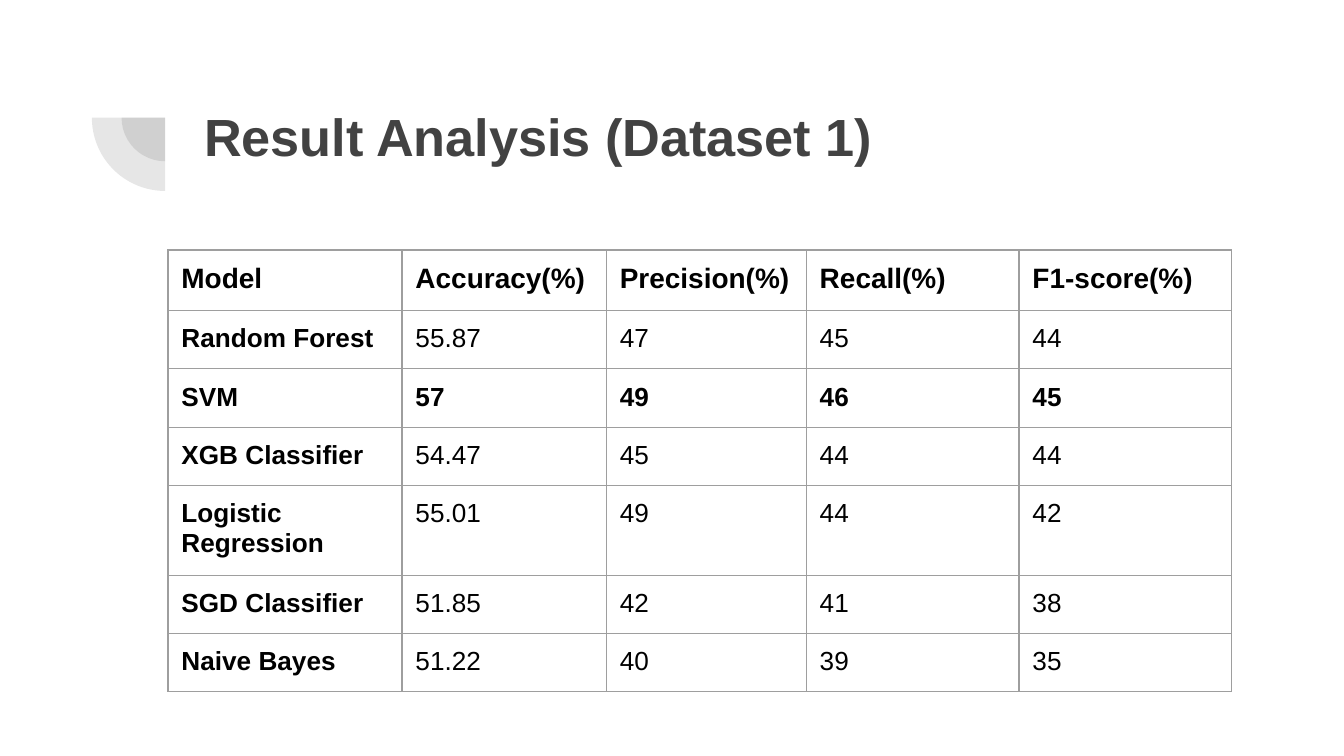
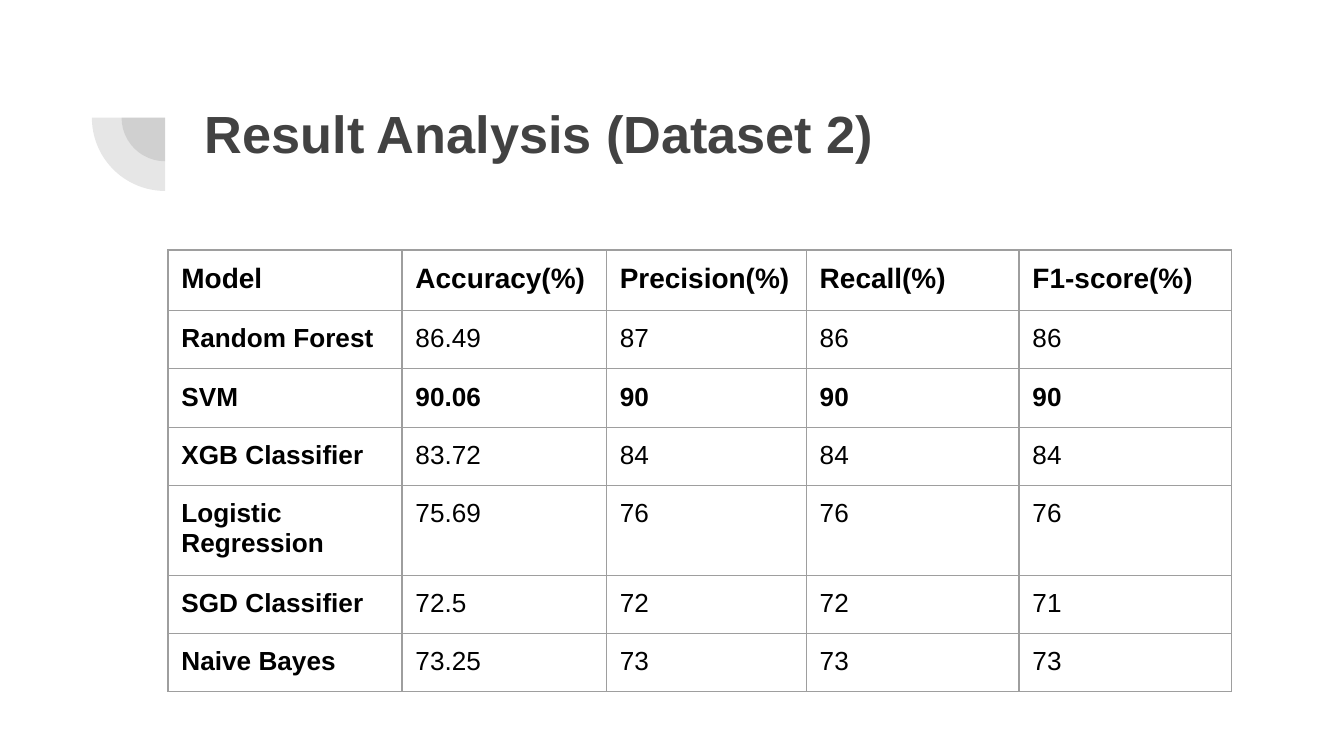
from lxml import etree
from pptx import Presentation
from pptx.dml.color import RGBColor
from pptx.enum.shapes import MSO_SHAPE
from pptx.enum.text import MSO_ANCHOR
from pptx.oxml.ns import qn
from pptx.util import Pt

PX = 1905  # 480 px to the inch
FONT = "Arial"
DARK = RGBColor(0x42, 0x42, 0x42)
BLACK = RGBColor(0x00, 0x00, 0x00)
GRAY = RGBColor(0x9E, 0x9E, 0x9E)
WHITE = RGBColor(0xFF, 0xFF, 0xFF)
PIE = MSO_SHAPE.PIE
TOP = MSO_ANCHOR.TOP

HUB = (590, 420)  # shared centre of both quarter discs
DISCS = [312, 524]
ALPHA = 13
INSET = 48
LEFT, HEAD, ROW, SIDE = 600, 893, 200, 1575
COLS = [836, 730, 714, 760, 760]
BEST = "SVM"

HEADER = ["Model", "Accuracy(%)", "Precision(%)", "Recall(%)", "F1-score(%)"]
SLIDES = [
    ("Result Analysis (Dataset 1)", 682, 326, [
        ["Random Forest", "55.87", "47", "45", "44"],
        ["SVM", "57", "49", "46", "45"],
        ["XGB Classifier", "54.47", "45", "44", "44"],
        ["Logistic Regression", "55.01", "49", "44", "42"],
        ["SGD Classifier", "51.85", "42", "41", "38"],
        ["Naive Bayes", "51.22", "40", "39", "35"],
    ]),
    ("Result Analysis (Dataset 2)", 685, 312, [
        ["Random Forest", "86.49", "87", "86", "86"],
        ["SVM", "90.06", "90", "90", "90"],
        ["XGB Classifier", "83.72", "84", "84", "84"],
        ["Logistic Regression", "75.69", "76", "76", "76"],
        ["SGD Classifier", "72.5", "72", "72", "71"],
        ["Naive Bayes", "73.25", "73", "73", "73"],
    ]),
]


def put(box, text, size=14, bold=False, color=BLACK):
    """Write one run into a text frame or table cell, with even insets."""
    box.margin_left = box.margin_right = INSET * PX
    box.margin_top = box.margin_bottom = INSET * PX
    box.vertical_anchor = TOP
    frame = getattr(box, "text_frame", box)
    frame.word_wrap = True
    run = frame.paragraphs[0].add_run()
    run.text = text
    run.font.name = FONT
    run.font.size = Pt(size)
    run.font.bold = bold
    run.font.color.rgb = color


def edge(cell):
    """Draw a thin gray line on all four sides of a cell."""
    props = cell._tc.get_or_add_tcPr()
    for spot, side in enumerate(["a:lnL", "a:lnR", "a:lnT", "a:lnB"]):
        line = etree.Element(qn(side), w=str(Pt(0.75)))
        fill = etree.SubElement(line, qn("a:solidFill"))
        etree.SubElement(fill, qn("a:srgbClr"), val=str(GRAY))
        props.insert(spot, line)


deck = Presentation()
deck.slide_width, deck.slide_height = 4800 * PX, 2700 * PX
blank = deck.slide_layouts[6]

for title, x, y, scores in SLIDES:
    slide = deck.slides.add_slide(blank)
    slide.background.fill.solid()
    slide.background.fill.fore_color.rgb = WHITE

    for size in DISCS:
        left, top = [(mid - size // 2) * PX for mid in HUB]
        disc = slide.shapes.add_shape(PIE, left, top, size * PX, size * PX)
        disc.adjustments[0], disc.adjustments[1] = 108, 162
        disc.rotation = 270
        disc.shadow.inherit = False
        disc.line.fill.background()
        disc.fill.solid()
        disc.fill.fore_color.rgb = DARK
        tint = disc._element.spPr.find(".//" + qn("a:srgbClr"))
        etree.SubElement(tint, qn("a:alpha"), val=str(ALPHA * 1000))

    box = slide.shapes.add_textbox(x * PX, y * PX, 3690 * PX, 524 * PX)
    put(box.text_frame, title, size=28, bold=True, color=DARK)

    rows = [HEADER] + scores
    holder = slide.shapes.add_table(
        len(rows), len(COLS), LEFT * PX, HEAD * PX, SIDE * PX, SIDE * PX)
    grid = holder.table
    grid.first_row = grid.horz_banding = False
    for col, width in zip(grid.columns, COLS):
        col.width = width * PX
    for r, row in enumerate(rows):
        grid.rows[r].height = ROW * PX
        for c, text in enumerate(row):
            cell = grid.cell(r, c)
            bold = r == 0 or c == 0 or row[0] == BEST
            put(cell, text, size=14 if r else 15, bold=bold)
            cell.fill.background()
            edge(cell)
    holder.width = holder.height = SIDE * PX

deck.save("out.pptx")
